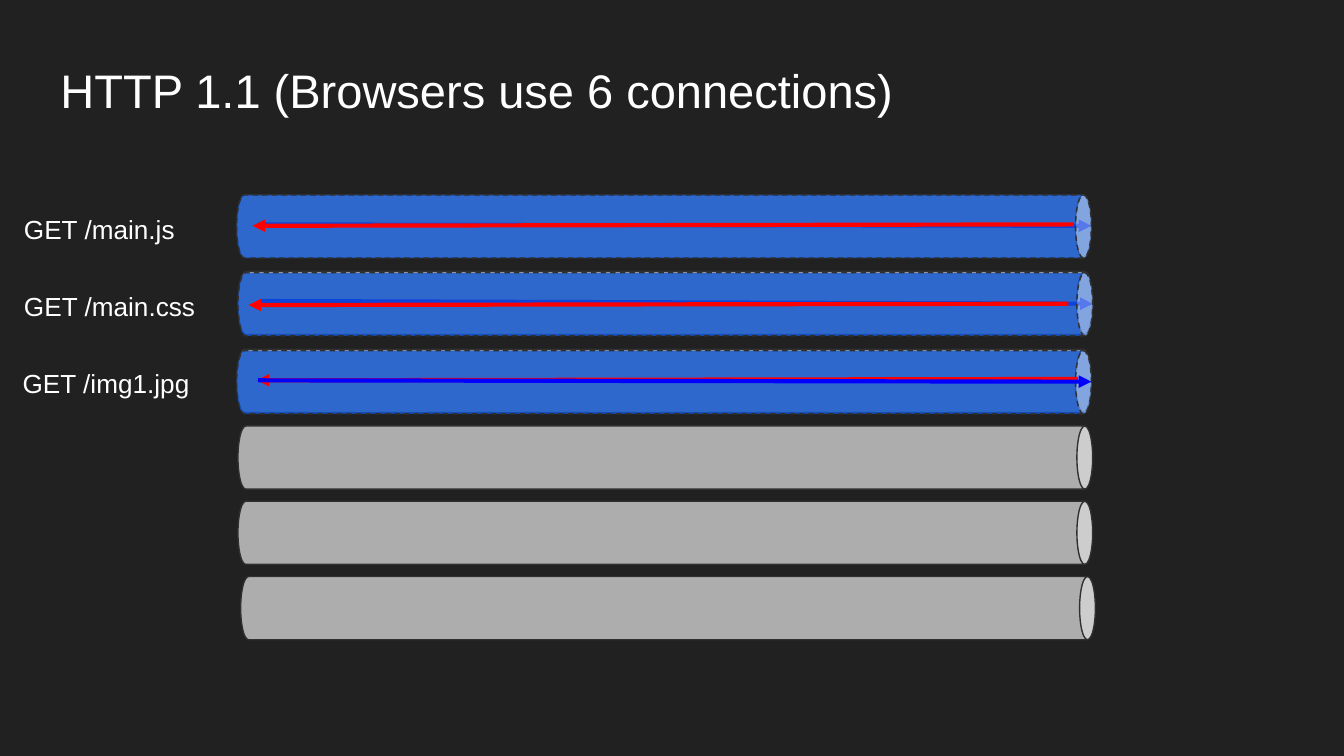
from lxml import etree
from pptx import Presentation
from pptx.dml.color import RGBColor
from pptx.enum.dml import MSO_LINE
from pptx.enum.shapes import MSO_CONNECTOR, MSO_SHAPE
from pptx.enum.text import MSO_ANCHOR, PP_ALIGN
from pptx.oxml.ns import qn
from pptx.util import Inches, Pt

CAN, STRAIGHT, DASH = MSO_SHAPE.CAN, MSO_CONNECTOR.STRAIGHT, MSO_LINE.DASH
TOP, BOTTOM, LEFT = MSO_ANCHOR.TOP, MSO_ANCHOR.BOTTOM, PP_ALIGN.LEFT
DARK, GREY, OUTLINE, WHITE = "212121", "ADADAD", "303030", "FFFFFF"
TINT, BLUE, RED = "0E56D5", "0000FF", "FF0000"
PIPE_LENGTH, PIPE_THICKNESS = 6.36, 0.47

CONNECTIONS = [
    dict(left=1.76, top=1.45, label="GET /main.js", label_at=(0.08, 1.49, 1.43), shift=0,
         request=(0.16, 0.22, 6.36, 0.23), response=(6.23, 0.22, 0.12, 0.23)),
    dict(left=1.77, top=2.02, label="GET /main.css", label_at=(0.08, 2.06, 1.52), shift=0.01,
         request=(0.17, 0.22, 6.36, 0.24), response=(6.18, 0.24, 0.08, 0.25)),
    dict(left=1.76, top=2.6, label="GET /img1.jpg", label_at=(0.07, 2.63, 1.6), shift=0.01,
         request=(0.16, 0.23, 6.36, 0.24), response=(6.26, 0.22, 0.15, 0.23),
         request_on_top=True),
]
IDLE_PIPES = [(1.77, 3.17), (1.77, 3.73), (1.79, 4.29)]


def rgb(value):
    return RGBColor.from_string(value)


def write(sp, text, size=14, color=WHITE, font="Arial", anchor=TOP):
    tf = sp.text_frame
    tf.word_wrap = True
    tf.vertical_anchor = anchor
    tf.margin_left = tf.margin_right = tf.margin_top = tf.margin_bottom = Inches(0.1)
    p = tf.paragraphs[0]
    p.alignment = LEFT
    r = p.add_run()
    r.text = text
    r.font.size = Pt(size)
    r.font.name = font
    r.font.color.rgb = rgb(color)


def add_title(s, text, left, top, width, height):
    sp = s.shapes.title
    sp.left, sp.top, sp.width, sp.height = map(Inches, (left, top, width, height))
    write(sp, text, size=25.2, anchor=BOTTOM)


def add_pipe(s, left, top, fill=GREY, alpha=None, dash=None):
    inset = (PIPE_LENGTH - PIPE_THICKNESS) / 2
    sp = s.shapes.add_shape(CAN, Inches(left + inset), Inches(top - inset),
                            Inches(PIPE_THICKNESS), Inches(PIPE_LENGTH))
    sp.rotation = 90
    sp.adjustments[0] = 0.25
    sp.shadow.inherit = False
    sp.fill.solid()
    sp.fill.fore_color.rgb = rgb(fill)
    sp.line.color.rgb = rgb(OUTLINE)
    sp.line.width = Pt(0.75)
    if dash:
        sp.line.dash_style = dash
    if alpha:
        color = sp._element.spPr.find(qn("a:solidFill"))[0]
        etree.SubElement(color, qn("a:alpha"), val=str(alpha * 1000))


def add_arrow(s, left, top, ends, color):
    x1, y1, x2, y2 = ends
    line = s.shapes.add_connector(STRAIGHT, Inches(left + x1), Inches(top + y1),
                                  Inches(left + x2), Inches(top + y2))
    line.line.color.rgb = rgb(color)
    line.line.width = Pt(2.25)
    spPr = line._element.spPr
    etree.SubElement(spPr.find(qn("a:ln")), qn("a:tailEnd"), type="triangle")
    etree.SubElement(spPr, qn("a:effectLst"))


def add_connection(s, left, top, label, label_at, shift, request, response,
                   request_on_top=False):
    add_pipe(s, left, top)
    if not request_on_top:
        add_arrow(s, left, top, request, BLUE)
    add_pipe(s, left, top + shift, fill=TINT, alpha=79, dash=DASH)
    add_arrow(s, left, top, response, RED)
    if request_on_top:
        add_arrow(s, left, top, request, BLUE)
    x, y, width = map(Inches, label_at)
    write(s.shapes.add_textbox(x, y, width, Inches(0.38)), label)


def main():
    prs = Presentation()
    prs.slide_width = Inches(10)
    prs.slide_height = prs.slide_width * 9 // 16
    s = prs.slides.add_slide(prs.slide_layouts[5])
    s.background.fill.solid()
    s.background.fill.fore_color.rgb = rgb(DARK)
    add_title(s, "HTTP 1.1 (Browsers use 6 connections)", 0.35, 0.35, 9.28, 0.63)
    for connection in CONNECTIONS:
        add_connection(s, **connection)
    for left, top in IDLE_PIPES:
        add_pipe(s, left, top)
    prs.save("out.pptx")


if __name__ == "__main__":
    main()
